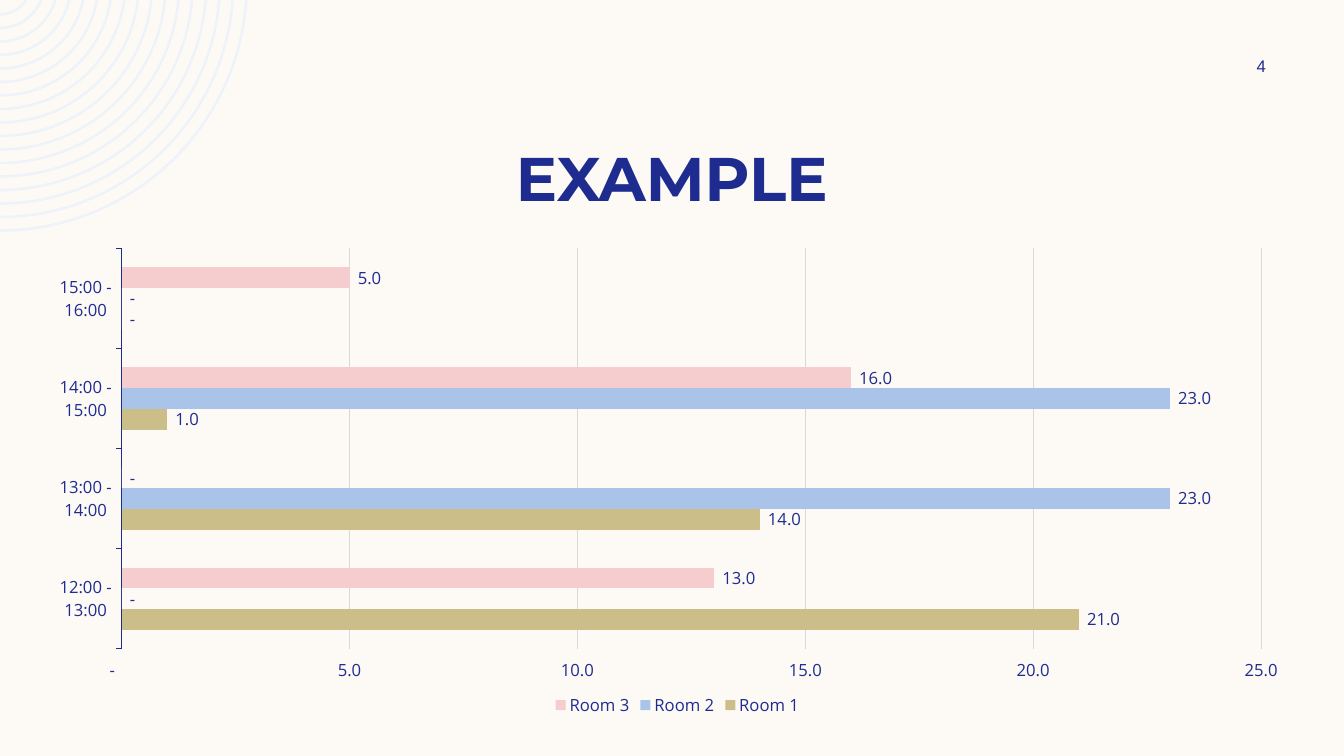
from dataclasses import dataclass
from math import asin, degrees, sqrt

from lxml.etree import SubElement
from pptx import Presentation
from pptx.chart.chart import Chart
from pptx.chart.data import CategoryChartData
from pptx.dml.color import RGBColor
from pptx.enum.chart import XL_CHART_TYPE as ChartType
from pptx.enum.chart import XL_LABEL_POSITION as LabelPosition
from pptx.enum.chart import XL_LEGEND_POSITION as LegendPosition
from pptx.enum.chart import XL_TICK_MARK as TickMark
from pptx.enum.text import MSO_ANCHOR as Anchor
from pptx.enum.text import PP_ALIGN as Align
from pptx.oxml.ns import qn
from pptx.slide import Slide
from pptx.text.text import Font
from pptx.util import Inches, Pt

CREAM = RGBColor(0xFD, 0xFA, 0xF6)
NAVY = RGBColor(0x1F, 0x2C, 0x8F)
MIST = RGBColor(0xEE, 0xF3, 0xFA)
GRID = RGBColor(0xD9, 0xD9, 0xD9)
SAND = RGBColor(0xCC, 0xBE, 0x89)
SKY = RGBColor(0xAA, 0xC3, 0xE8)
ROSE = RGBColor(0xF5, 0xCD, 0xCE)

WIDTH, HEIGHT = Inches(13.33), Inches(7.5)
NUMBER_FORMAT = r'_(* #,##0.0_);_(* \(#,##0.0\);_(* "-"??_);_(@_)'
BODY_FONT = "Open Sans"
ANGLE_UNITS = 60000


@dataclass(frozen=True)
class Box:
    left: float
    top: float
    width: float
    height: float

    def lengths(self) -> tuple[int, int, int, int]:
        return (int(WIDTH * self.left / 100), int(HEIGHT * self.top / 100),
                int(WIDTH * self.width / 100), int(HEIGHT * self.height / 100))


@dataclass(frozen=True)
class Caption:
    text: str
    box: Box
    size: float
    face: str
    bold: bool = False


@dataclass(frozen=True)
class Room:
    name: str
    values: tuple[int, ...]
    color: RGBColor


@dataclass(frozen=True)
class Arc:
    radius: float
    rise: float

    def start(self) -> tuple[int, int]:
        return Inches(sqrt(self.radius ** 2 - self.rise ** 2)), 0

    def end(self) -> tuple[int, int]:
        return 0, Inches(self.radius - self.rise)

    def bend(self, segment, backward: bool) -> None:
        first = degrees(asin(self.rise / self.radius))
        begin, sweep = (90, first - 90) if backward else (first, 90 - first)
        segment.clear()
        segment.tag = qn("a:arcTo")
        for side in ("wR", "hR"):
            segment.set(side, str(Inches(self.radius)))
        segment.set("stAng", str(round(begin * ANGLE_UNITS)))
        segment.set("swAng", str(round(sweep * ANGLE_UNITS)))


CAPTIONS = (
    Caption("EXAMPLE", Box(6.25, 17.73, 87.5, 11.2), 44, "Montserrat", True),
    Caption("4", Box(89.8, 6.67, 8.1, 4), 12, "Arial"),
)
CHART_BOX = Box(4.43, 30.67, 91.22, 64.67)
PLOT_SHARES = {"x": 0.043, "y": 0.034, "w": 0.937, "h": 0.819}
HOURS = tuple(f"{hour}:00 - {hour + 1}:00" for hour in range(12, 16))
ROOMS = (
    Room("Room 1", (21, 14, 1, 0), SAND),
    Room("Room 2", (0, 23, 23, 0), SKY),
    Room("Room 3", (13, 0, 16, 5), ROSE),
)
RING_COUNT, RING_STEP, RING_BAND = 17, 0.134, 0.025
OUTER_RADIUS, CENTRE_RISE = 2.46, 0.16


def style_font(font: Font, size: float, face: str, bold: bool = False) -> None:
    font.size, font.name, font.bold = Pt(size), face, bold
    font.color.rgb = NAVY


def draw_rings(slide: Slide) -> None:
    radii = [OUTER_RADIUS - index * RING_STEP for index in range(RING_COUNT)]
    rings = [(Arc(radius, CENTRE_RISE), Arc(radius - RING_BAND, CENTRE_RISE))
             for radius in radii]
    builder = slide.shapes.build_freeform(*rings[0][0].start())
    for index, (outer, inner) in enumerate(rings):
        if index:
            builder.move_to(*outer.start())
        builder.add_line_segments([outer.end(), inner.end(), inner.start()])
    corner = builder.convert_to_shape()
    segments = list(corner.element.iter(qn("a:lnTo")))
    for (outer, inner), there, back in zip(rings, segments[::3], segments[2::3]):
        outer.bend(there, backward=False)
        inner.bend(back, backward=True)
        if back.getnext() is None or back.getnext().tag != qn("a:close"):
            back.addnext(back.makeelement(qn("a:close")))
    corner.shadow.inherit = False
    corner.fill.solid()
    corner.fill.fore_color.rgb = MIST
    corner.line.fill.background()


def draw_caption(slide: Slide, caption: Caption) -> None:
    frame = slide.shapes.add_textbox(*caption.box.lengths()).text_frame
    frame.word_wrap = True
    frame.vertical_anchor = Anchor.MIDDLE
    paragraph = frame.paragraphs[0]
    paragraph.alignment = Align.CENTER
    run = paragraph.add_run()
    run.text = caption.text
    style_font(run.font, caption.size, caption.face, caption.bold)


def place_plot(chart: Chart) -> None:
    plot_area = next(chart.element.iter(qn("c:plotArea")))
    layout = plot_area.find(qn("c:layout"))
    if layout is None:
        layout = SubElement(plot_area, qn("c:layout"))
        plot_area.insert(0, layout)
    manual = SubElement(layout, qn("c:manualLayout"))
    settings = {"layoutTarget": "inner", "xMode": "edge", "yMode": "edge", **PLOT_SHARES}
    for tag, value in settings.items():
        SubElement(manual, qn(f"c:{tag}")).set("val", str(value))


def draw_chart(slide: Slide) -> None:
    bookings = CategoryChartData(number_format=NUMBER_FORMAT)
    bookings.categories = HOURS
    for room in ROOMS:
        bookings.add_series(room.name, room.values)
    chart = slide.shapes.add_chart(
        ChartType.BAR_CLUSTERED, *CHART_BOX.lengths(), bookings).chart
    chart.has_title = False
    style_font(chart.font, 12, BODY_FONT)
    place_plot(chart)

    chart.has_legend = True
    chart.legend.position = LegendPosition.BOTTOM
    chart.legend.include_in_layout = False
    style_font(chart.legend.font, 12, BODY_FONT)

    hours, scale = chart.category_axis, chart.value_axis
    for axis in (hours, scale):
        axis.major_tick_mark = TickMark.OUTSIDE
        style_font(axis.tick_labels.font, 12, BODY_FONT)
    scale.format.line.fill.background()
    scale.minimum_scale, scale.maximum_scale, scale.major_unit = 0, 25, 5
    for line, color in ((hours.format.line, NAVY),
                        (scale.major_gridlines.format.line, GRID)):
        line.color.rgb = color
        line.width = Pt(0.75)

    plot = chart.plots[0]
    plot.gap_width = 182
    plot.vary_by_categories = False
    for series, room in zip(plot.series, ROOMS):
        series.format.fill.solid()
        series.format.fill.fore_color.rgb = room.color
        series.data_labels.show_value = True
        series.data_labels.position = LabelPosition.OUTSIDE_END
        style_font(series.data_labels.font, 12, BODY_FONT)
    for labels in (scale.tick_labels, *(series.data_labels for series in plot.series)):
        labels.number_format = NUMBER_FORMAT
        labels.number_format_is_linked = False


presentation = Presentation()
presentation.slide_width, presentation.slide_height = WIDTH, HEIGHT
example = presentation.slides.add_slide(presentation.slide_layouts[6])
example.background.fill.solid()
example.background.fill.fore_color.rgb = CREAM
draw_rings(example)
for caption in CAPTIONS:
    draw_caption(example, caption)
draw_chart(example)
presentation.save("out.pptx")
